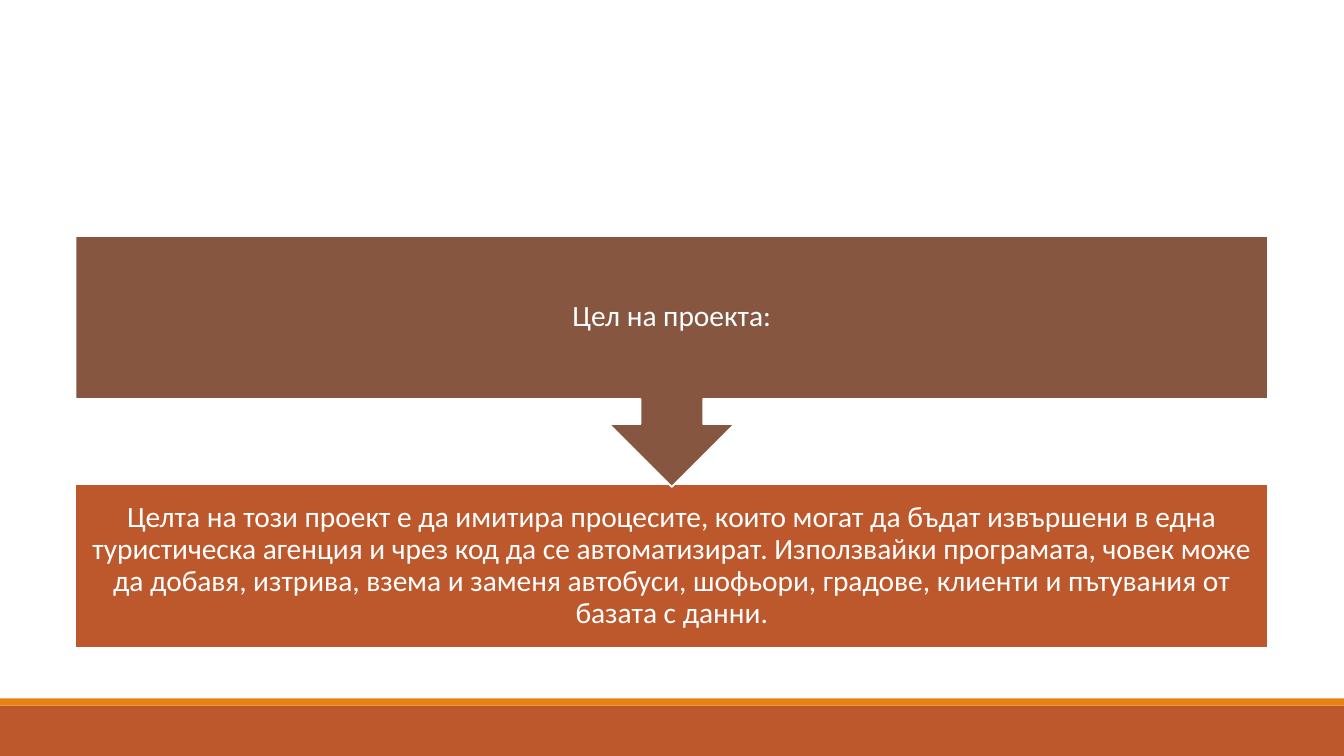
import pptx
import pptx.util
import pptx.dml.color
import pptx.enum.shapes
import pptx.enum.text

Pt = pptx.util.Pt
RGBColor = pptx.dml.color.RGBColor
MSO_SHAPE = pptx.enum.shapes.MSO_SHAPE

RUST = RGBColor(0xBD, 0x58, 0x2C)
ORANGE = RGBColor(0xE4, 0x83, 0x12)
BROWN = RGBColor(0x86, 0x56, 0x40)
WHITE = RGBColor(0xFF, 0xFF, 0xFF)

SLIDE_WIDTH, SLIDE_HEIGHT = 960, 540
BLOCK_LEFT, BLOCK_WIDTH = 54, 851.76
INSET = 11.52

GOAL_HEADING = "Цел на проекта:"
GOAL_DESCRIPTION = (
    "Целта на този проект е да имитира процесите, които могат да бъдат "
    "извършени в една туристическа агенция и чрез код да се автоматизират. "
    "Използвайки програмата, човек може да добавя, изтрива, взема и заменя "
    "автобуси, шофьори, градове, клиенти и пътувания от базата с данни."
)


def add_filled(slide, kind, left, top, width, height, color):
    shape = slide.shapes.add_shape(kind, Pt(left), Pt(top), Pt(width), Pt(height))
    shape.shadow.inherit = False
    shape.fill.solid()
    shape.fill.fore_color.rgb = color
    shape.line.fill.background()
    return shape


def add_block(slide, kind, top, height, color, text):
    block = add_filled(slide, kind, BLOCK_LEFT, top, BLOCK_WIDTH, height, color)
    block.line.color.rgb = WHITE
    block.line.width = Pt(1.25)

    frame = block.text_frame
    frame.word_wrap = True
    frame.vertical_anchor = pptx.enum.text.MSO_ANCHOR.MIDDLE
    frame.margin_left = frame.margin_right = Pt(INSET)
    frame.margin_top = frame.margin_bottom = Pt(INSET)

    paragraph = frame.paragraphs[0]
    paragraph.alignment = pptx.enum.text.PP_ALIGN.CENTER
    paragraph.line_spacing = 0.9
    run = paragraph.add_run()
    run.text = text
    run.font.name = "Calibri"
    run.font.size = Pt(21)
    run.font.color.rgb = WHITE


def main():
    deck = pptx.Presentation()
    deck.slide_width = Pt(SLIDE_WIDTH)
    deck.slide_height = Pt(SLIDE_HEIGHT)
    slide = deck.slides.add_slide(deck.slide_layouts.get_by_name("Blank"))

    # Footer bands
    add_filled(slide, MSO_SHAPE.RECTANGLE, 0, 504, SLIDE_WIDTH, 36, RUST)
    add_filled(slide, MSO_SHAPE.RECTANGLE, 0, 498.96, SLIDE_WIDTH, 5.04, ORANGE)

    # Description, with the heading's arrow pointing down to it
    add_block(slide, MSO_SHAPE.RECTANGLE, 345.9, 116.64, RUST, GOAL_DESCRIPTION)
    add_block(slide, MSO_SHAPE.DOWN_ARROW_CALLOUT, 168.48, 179.28, BROWN, GOAL_HEADING)

    deck.save("out.pptx")


if __name__ == "__main__":
    main()
